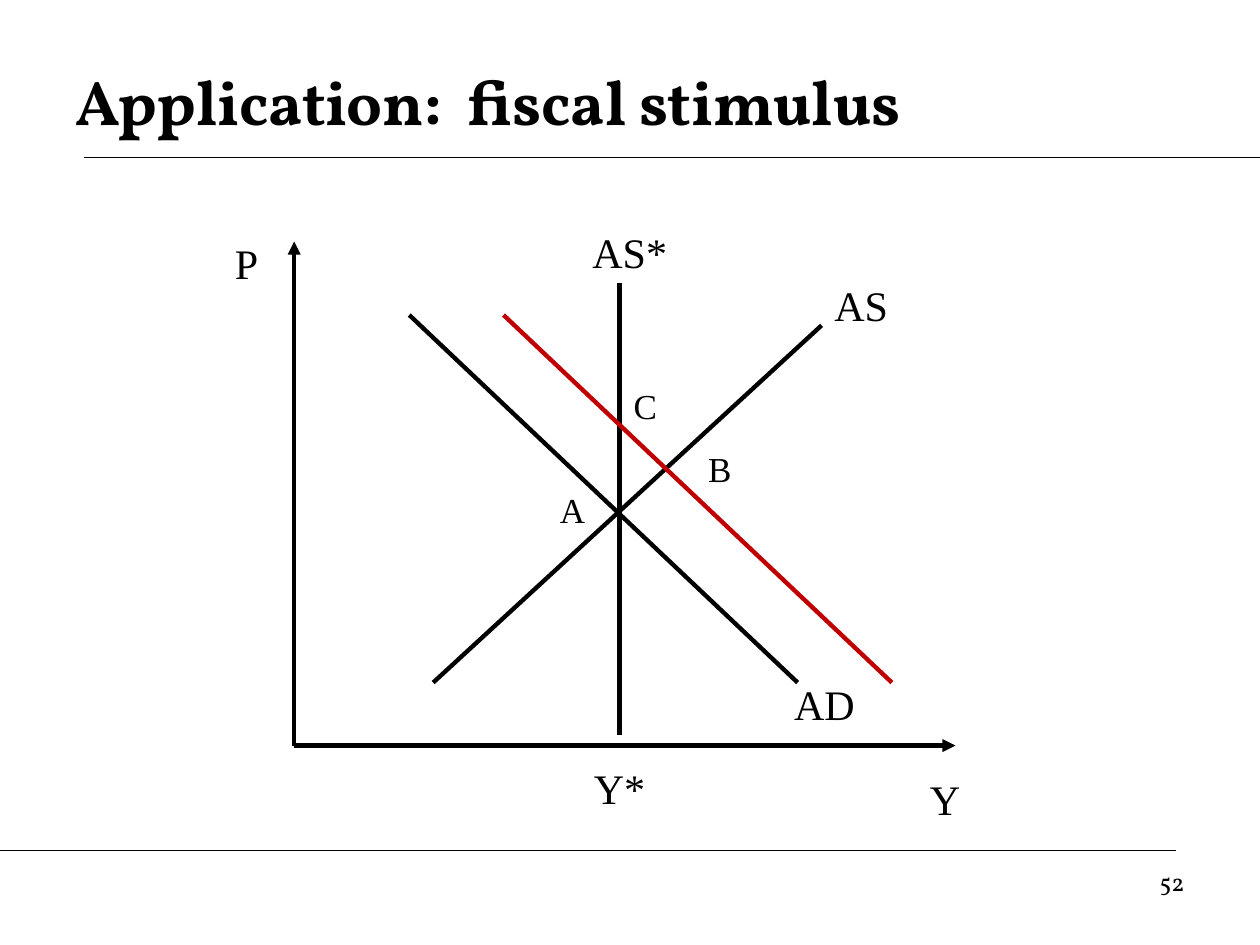
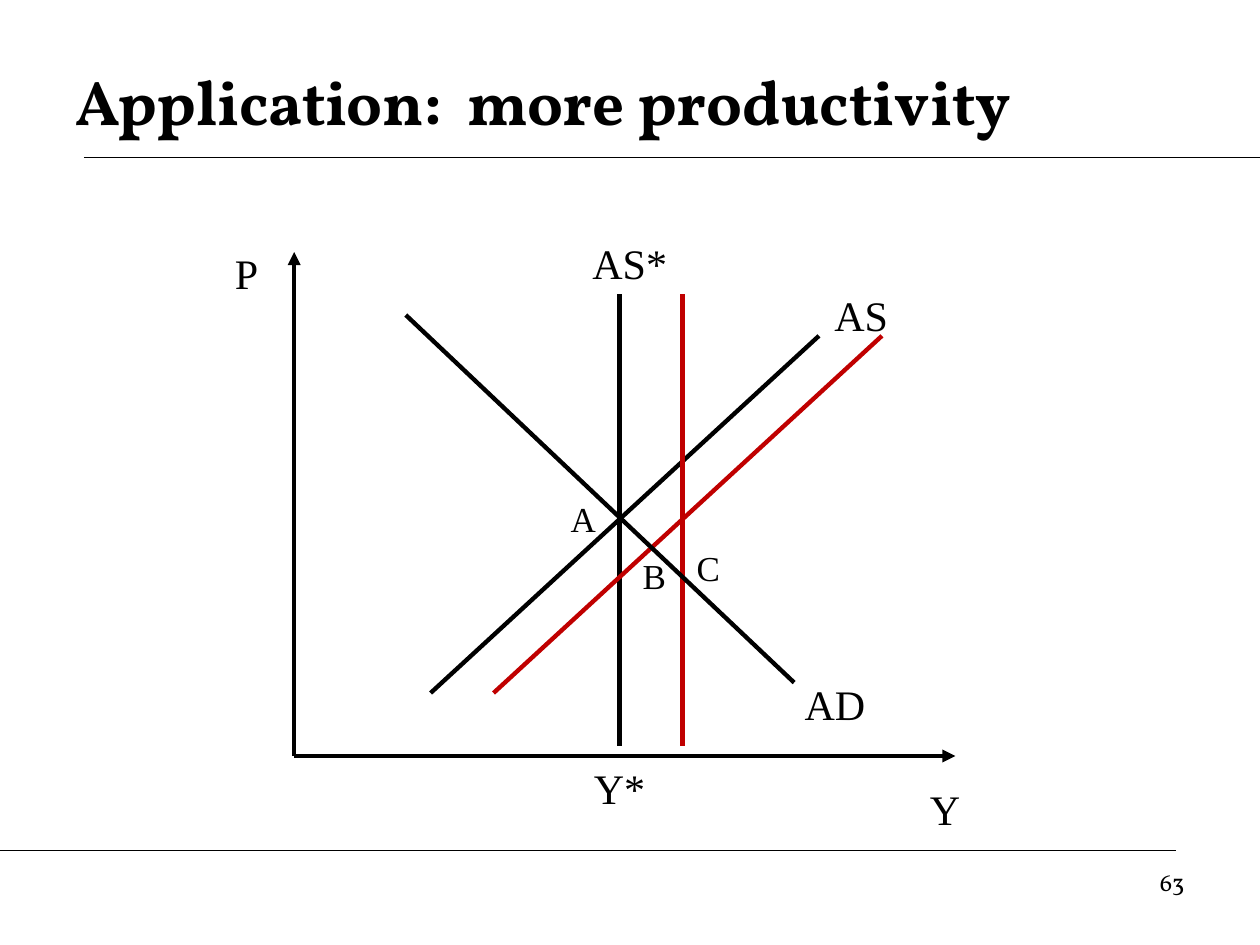
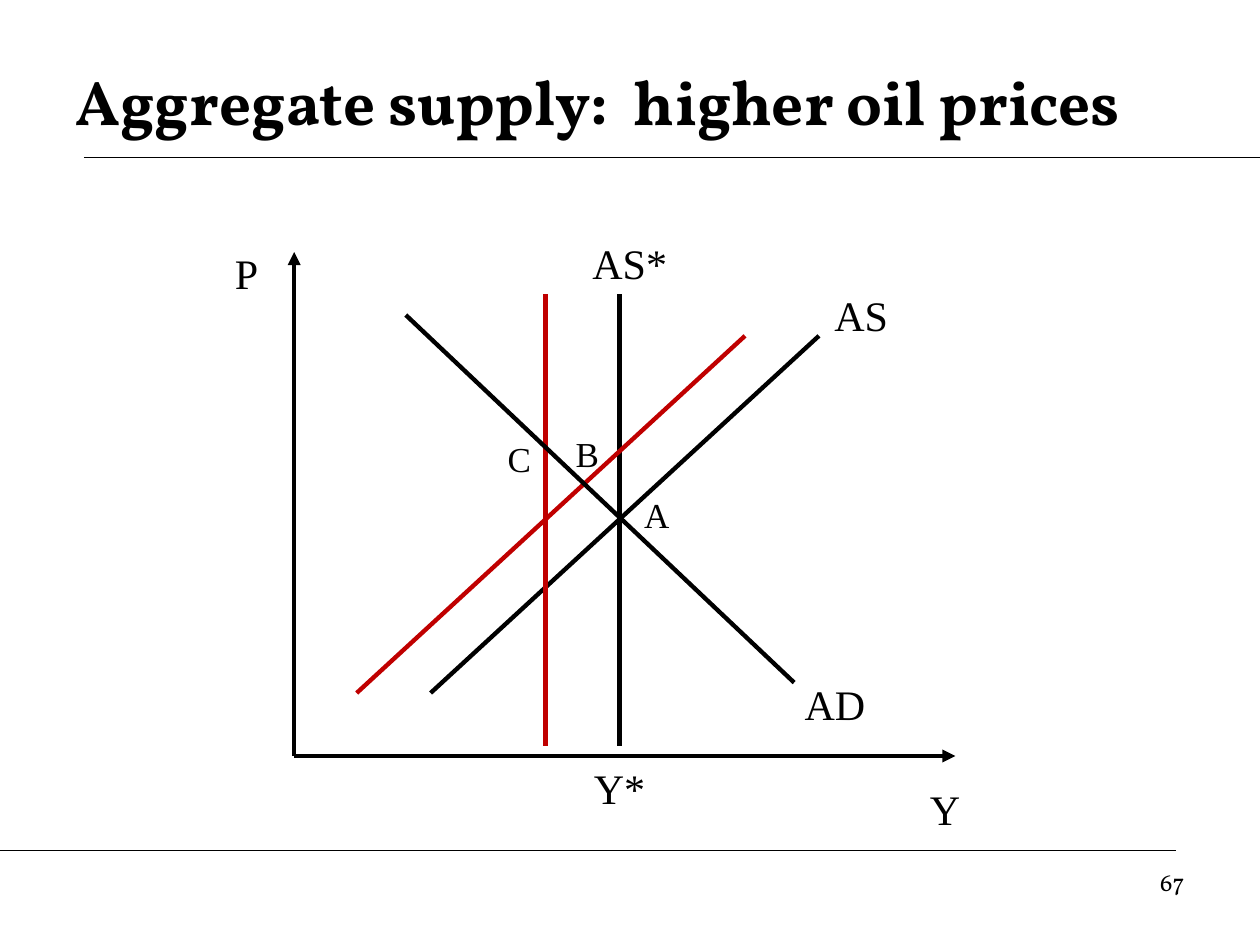
from lxml import etree
from pptx import Presentation
from pptx import util as u
from pptx.dml import color as col
from pptx.enum import shapes, text
from pptx.oxml import ns

BLACK, RED = "000000", "C00000"
HEAD_FONT, LABEL_FONT = "Vollkorn", "Times New Roman"


def add_line(s, ends, color=BLACK, width=2.5, arrow=False):
    c = s.shapes.add_connector(shapes.MSO_CONNECTOR.STRAIGHT, *[u.Cm(v) for v in ends])
    c.line.color.rgb = col.RGBColor.from_string(color)
    c.line.width = u.Pt(width)
    if arrow:
        etree.SubElement(c.line._get_or_add_ln(), ns.qn("a:tailEnd"), type="triangle")
    etree.SubElement(c._element.spPr, ns.qn("a:effectLst"))


def write(sp, words, box, size, font, align, bold=False):
    sp.left, sp.top, sp.width, sp.height = [u.Cm(v) for v in box]
    tf = sp.text_frame
    tf.word_wrap = True
    tf.auto_size = text.MSO_AUTO_SIZE.NONE
    p = tf.paragraphs[0]
    p.alignment = align
    r = p.add_run()
    r.text = words
    r.font.size, r.font.name, r.font.bold = u.Pt(size), font, bold
    r.font.color.rgb = col.RGBColor.from_string(BLACK)


# Each slide: title, page, lift of the diagram, AD position, AD label position,
# shifted curves, size of the shift, left and top of the point labels
slides = [
    ("Application:  fiscal stimulus", "52", 0.21, 8.25, 15.45, ["AD"], 1.9,
     {"A": (10.8, 9.73), "B": (13.77, 8.89), "C": (12.27, 7.62)}),
    ("Application:  more productivity", "63", 0, 8.18, 15.66, ["AS*", "AS"], 1.27,
     {"A": (11.02, 9.91), "B": (12.45, 11.05), "C": (13.54, 10.9)}),
    ("Aggregate supply:  higher oil prices", "67", 0, 8.18, 15.66, ["AS*", "AS"], -1.49,
     {"A": (12.5, 9.83), "B": (11.1, 8.59), "C": (9.73, 8.69)}),
]

prs = Presentation()
prs.slide_width, prs.slide_height = u.Cm(25.4), u.Cm(19.05)

for title, page, lift, ad_x, ad_label_x, shifted, shift, points in slides:
    s = prs.slides.add_slide(prs.slide_layouts[5])

    # Title, rules and page number
    add_line(s, (1.69, 3.17, 25.4, 3.17), width=0.75)
    add_line(s, (0, 17.14, 23.71, 17.14), width=0.75)
    write(s.shapes.title, title, (1.27, 0.85, 22.86, 2.33), 36, HEAD_FONT,
          text.PP_ALIGN.LEFT, bold=True)
    s.shapes.title.text_frame.vertical_anchor = text.MSO_ANCHOR.MIDDLE
    write(s.shapes.add_textbox(0, 0, 0, 0), page, (18.2, 17.36, 5.93, 1.32), 14,
          HEAD_FONT, text.PP_ALIGN.RIGHT)

    # Axes
    base = 15.24 - lift
    add_line(s, (5.93, base, 19.26, base), arrow=True)
    add_line(s, (5.93, base, 5.93, base - 10.16), arrow=True)

    # Curves, with AD on top of the supply curves
    as_x = 8.68 + lift / 4
    curves = {
        "AS*": (12.49, base - 0.21, 12.49, base - 9.32),
        "AS": (as_x, base - 1.27, as_x + 7.83, base - 8.47),
        "AD": (ad_x + 7.83, 13.76, ad_x, 6.35),
    }
    for name in ("AS*", "AS"):
        add_line(s, curves[name])
    for name in shifted:
        x1, y1, x2, y2 = curves[name]
        add_line(s, (x1 + shift, y1, x2 + shift, y2), RED)
    add_line(s, curves["AD"])

    # Labels of axes and curves: left, top, width
    labels = {
        "Y": (18.2, base + 0.43, 1.7),
        "P": (4.23, base - 10.37, 1.48),
        "AS": (16.51, base - 9.53, 1.7),
        "AS*": (11, base - 10.58, 3.39),
        "AD": (ad_label_x, 13.55, 2.34),
        "Y*": (11.64, 15.24, 1.7),
    }
    for name, place in labels.items():
        write(s.shapes.add_textbox(0, 0, 0, 0), name, (*place, 1.28), 24,
              LABEL_FONT, text.PP_ALIGN.CENTER)

    # Equilibrium points
    for name, place in points.items():
        write(s.shapes.add_textbox(0, 0, 0, 0), name, (*place, 1.48, 1.1), 20,
              LABEL_FONT, text.PP_ALIGN.CENTER)

prs.save("out.pptx")
